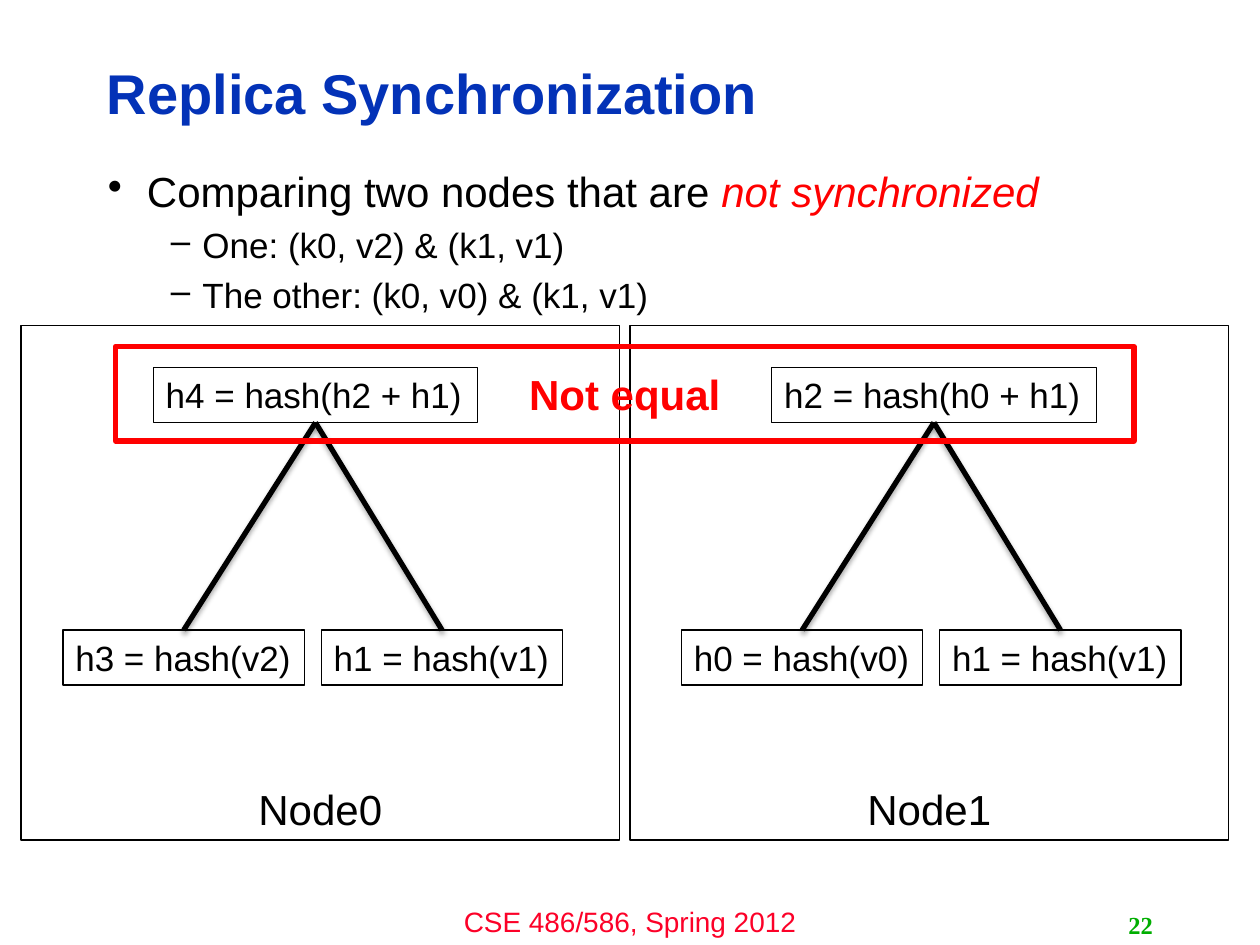
import pptx
import pptx.dml.color
import pptx.enum.shapes
import pptx.enum.text
import pptx.oxml
import pptx.oxml.ns
import pptx.util

COLORS = {"title": "0332B7", "ink": "000000", "alert": "FF0000",
          "footer": "FC0128", "number": "00AE00"}
ALIGN = pptx.enum.text.PP_ALIGN
ANCHOR = pptx.enum.text.MSO_ANCHOR
SHAPES = pptx.enum.shapes.MSO_SHAPE

presentation = pptx.Presentation()
presentation.slide_width = pptx.util.Inches(10)
presentation.slide_height = pptx.util.Inches(7.5)
slide = presentation.slides.add_slide(presentation.slide_layouts[6])
column = presentation.slide_width / 120
row = presentation.slide_height / 90


def add_run(paragraph, text, size, color, bold=False, italic=False, font="Arial"):
    run = paragraph.add_run()
    run.text = text
    run.font.name = font
    run.font.size = pptx.util.Pt(size)
    run.font.bold = bold
    run.font.italic = italic
    run.font.color.rgb = pptx.dml.color.RGBColor.from_string(COLORS[color])


def add_box(left, top, width, height, anchor, align, line=None, weight=1, wrap=True):
    place = [round(left * column), round(top * row), round(width * column), round(height * row)]
    if line:
        shape = slide.shapes.add_shape(SHAPES.RECTANGLE, *place)
        shape.shadow.inherit = False
        shape.fill.background()
        shape.line.color.rgb = pptx.dml.color.RGBColor.from_string(COLORS[line])
        shape.line.width = pptx.util.Pt(weight)
    else:
        shape = slide.shapes.add_textbox(*place)
    shape.text_frame.word_wrap = wrap
    shape.text_frame.vertical_anchor = anchor
    paragraph = shape.text_frame.paragraphs[0]
    paragraph.alignment = align
    return shape.text_frame, paragraph


frame, paragraph = add_box(40, 85.6, 40, 4.4, ANCHOR.TOP, ALIGN.CENTER)
add_run(paragraph, "CSE 486/586, Spring 2012", 16, "footer")

frame, paragraph = add_box(9, 4.3, 95.8, 9.7, ANCHOR.MIDDLE, ALIGN.LEFT)
paragraph.line_spacing = 0.9
add_run(paragraph, "Replica Synchronization", 32, "title", bold=True)

frame, paragraph = add_box(9.1, 15.7, 100.8, 64.7, ANCHOR.TOP, ALIGN.LEFT)
bullets = [
    (0, "•", 0.31, 0.31, 24, [("Comparing two nodes that are ", "ink", False),
                              ("not synchronized", "alert", True)]),
    (1, "–", 0.75, 0.25, 20, [("One: (k0, v2) & (k1, v1)", "ink", False)]),
    (1, "–", 0.75, 0.25, 20, [("The other: (k0, v0) & (k1, v1)", "ink", False)]),
]
for index, (level, mark, margin, hanging, size, runs) in enumerate(bullets):
    if index:
        paragraph = frame.add_paragraph()
        paragraph.space_before = pptx.util.Pt(7)
    paragraph.level = level
    paragraph.line_spacing = 0.9
    properties = paragraph._p.get_or_add_pPr()
    properties.set("marL", str(pptx.util.Inches(margin)))
    properties.set("indent", str(-pptx.util.Inches(hanging)))
    bullet = pptx.oxml.parse_xml(f'<a:buChar {pptx.oxml.ns.nsdecls("a")} char="{mark}"/>')
    properties.append(bullet)
    for text, color, italic in runs:
        add_run(paragraph, text, size, color, italic=italic)

frame, paragraph = add_box(86, 86.2, 25, 3.8, ANCHOR.MIDDLE, ALIGN.RIGHT, wrap=False)
add_run(paragraph, "22", 14, "number", bold=True, font="Times New Roman")

root_top, leaf_top, hash_height = 35, 60, 5.25
root_width, leaf_width, leaf_step = 30.9, 23, 24.6
trees = [
    (6, "h4 = hash(h2 + h1)", ["h3 = hash(v2)", "h1 = hash(v1)"]),
    (64.9, "h2 = hash(h0 + h1)", ["h0 = hash(v0)", "h1 = hash(v1)"]),
]
for left, root, leaves in trees:
    root_left = left + 8.6
    hashes = [(root_left, root_top, root_width, root)]
    for index, leaf in enumerate(leaves):
        leaf_left = left + index * leaf_step
        hashes.append((leaf_left, leaf_top, leaf_width, leaf))
        branch = slide.shapes.add_connector(
            pptx.enum.shapes.MSO_CONNECTOR.STRAIGHT,
            round((root_left + root_width / 2) * column),
            round((root_top + hash_height) * row),
            round((leaf_left + leaf_width / 2) * column), round(leaf_top * row))
        branch.line.color.rgb = pptx.dml.color.RGBColor.from_string(COLORS["ink"])
        branch.line.width = pptx.util.Pt(3)
        branch._element.spPr.append(pptx.oxml.parse_xml(
            f'<a:effectLst {pptx.oxml.ns.nsdecls("a")}>'
            f'<a:outerShdw blurRad="{pptx.util.Pt(3.1)}" dist="{pptx.util.Pt(1.8)}" '
            f'dir="5400000" rotWithShape="0"><a:srgbClr val="{COLORS["ink"]}">'
            '<a:alpha val="35000"/></a:srgbClr></a:outerShdw></a:effectLst>'))
    for hash_left, top, width, text in hashes:
        frame, paragraph = add_box(hash_left, top, width, hash_height, ANCHOR.TOP,
                                   ALIGN.LEFT, "ink", 0.75, wrap=False)
        add_run(paragraph, text, 20, "ink")

for index in range(2):
    frame, paragraph = add_box(2 + index * 58, 31, 57, 49, ANCHOR.BOTTOM, ALIGN.CENTER, "ink")
    add_run(paragraph, f"Node{index}", 24, "ink")

frame, paragraph = add_box(11, 33, 97, 9, ANCHOR.MIDDLE, ALIGN.CENTER, "alert", 3)
add_run(paragraph, "Not equal", 24, "alert", bold=True)

presentation.save("out.pptx")
